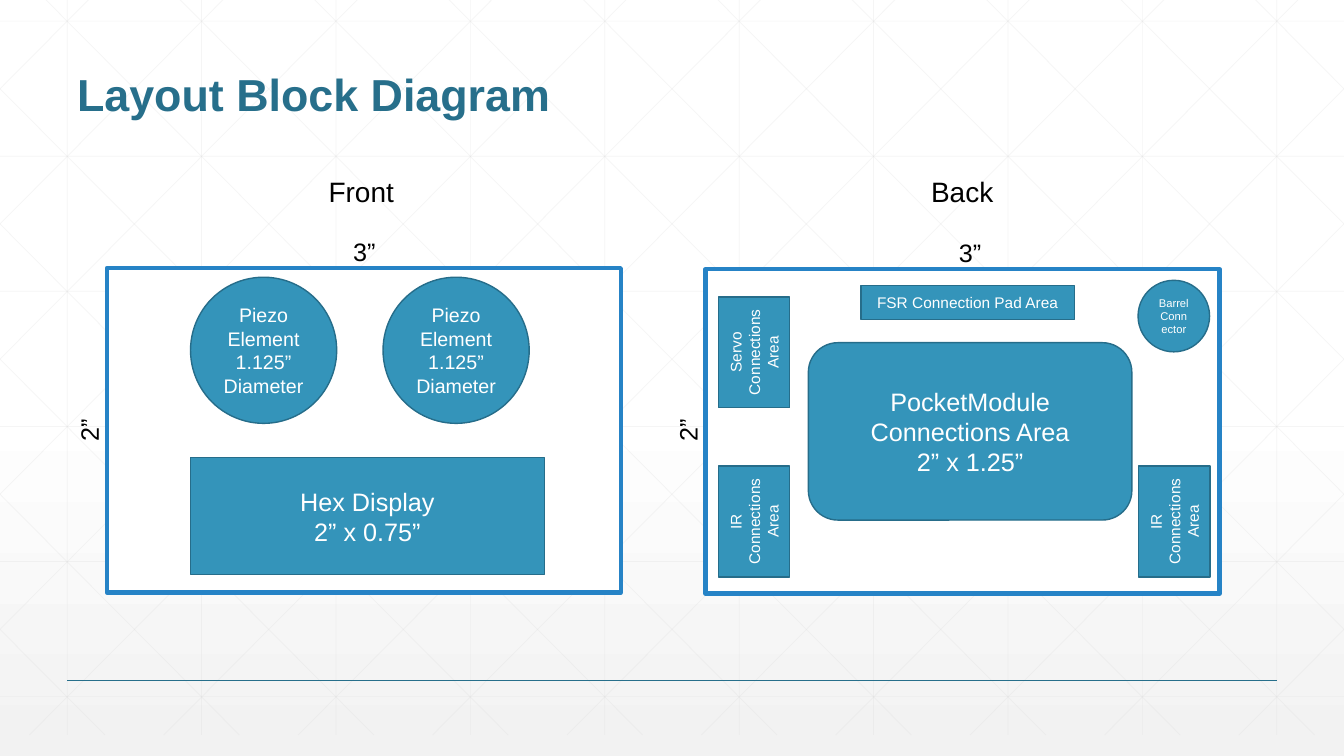
from lxml import etree
from pptx import Presentation
from pptx.dml.color import RGBColor
from pptx.enum.shapes import MSO_CONNECTOR, MSO_SHAPE
from pptx.enum.text import MSO_ANCHOR, MSO_AUTO_SIZE, PP_ALIGN
from pptx.oxml.ns import qn
from pptx.util import Pt

RECTANGLE = MSO_SHAPE.RECTANGLE
ROUNDED = MSO_SHAPE.ROUNDED_RECTANGLE
OVAL = MSO_SHAPE.OVAL
STRAIGHT = MSO_CONNECTOR.STRAIGHT
LEFT, CENTER = PP_ALIGN.LEFT, PP_ALIGN.CENTER
TOP, MIDDLE, BOTTOM = MSO_ANCHOR.TOP, MSO_ANCHOR.MIDDLE, MSO_ANCHOR.BOTTOM
GROW, FIXED = MSO_AUTO_SIZE.SHAPE_TO_FIT_TEXT, MSO_AUTO_SIZE.NONE

WHITE = RGBColor(0xFF, 0xFF, 0xFF)
BLACK = RGBColor(0, 0, 0)
PALE_GRAY = RGBColor(0xF2, 0xF2, 0xF2)
GRID_GRAY = RGBColor(0xD9, 0xD9, 0xD9)
TITLE_TEAL = RGBColor(0x27, 0x6F, 0x8B)
BLOCK_BLUE = RGBColor(0x34, 0x94, 0xBA)
BLOCK_EDGE = RGBColor(0x26, 0x6D, 0x8A)
BOARD_EDGE = RGBColor(0x26, 0x83, 0xC6)

FONT = "Arial"
WIDTH, HEIGHT = 960, 540
GRID_TOP, GRID_BOTTOM = -15, 525
GRID_STEP = 96
DIAGONAL_RUN = 537

# Boards: left, top
BOARDS = [(76.3, 191.5), (504, 192.2)]
BOARD_SIZE = (367.2, 231.8)

# Blocks: preset, text, size, (left, top, width, height), rotation
BLOCKS = [
    (RECTANGLE, "Hex Display\n2” x 0.75”", 18, (136.1, 326.9, 252.7, 83.5), 0),
    (ROUNDED, "PocketModule Connections Area\n2” x 1.25”", 18,
     (577.4, 244.8, 231.1, 126.7), 0),
    (RECTANGLE, "FSR Connection Pad Area", 11, (614.9, 203.8, 152.6, 24.5), 0),
    (OVAL, "Barrel Connector", 8, (812.9, 200.2, 51.1, 51.1), 0),
]
PIEZO_LEFTS = (136.1, 273.6)
PIEZO_TOP, PIEZO_SIZE = 198, 104.4

# Upright connection areas: text, left, top
CONNECTION_AREAS = [
    ("Servo Connections Area", 499, 226.1),
    ("IR Connections Area", 499, 347),
    ("IR Connections Area", 799.2, 347),
]
AREA_SIZE = (79.2, 51.1)

# Labels: text, size, (left, top, width, height), rotation
LABELS = [
    ("Front", 20, (192.2, 121, 131.8, 31.7), 0),
    ("Back", 20, (621.4, 121, 131.8, 31.7), 0),
    ("3”", 18, (222.5, 164.9, 75.6, 22.3), 0),
    ("3”", 18, (655.2, 165.6, 75.6, 22.3), 0),
    ("2”", 18, (24.5, 295.9, 71.3, 22.3), 270),
    ("2”", 18, (452.2, 295.9, 71.3, 22.3), 270),
]


def apply_format(target, values):
    """Set each attribute named in values on target."""
    for name, value in values.items():
        setattr(target, name, value)


def write_text(shape, text, font, align=CENTER, anchor=MIDDLE,
               auto_size=FIXED, spacing=1.0):
    """Write one paragraph per text line with the given font values."""
    frame = shape.text_frame
    apply_format(frame, {"word_wrap": True, "vertical_anchor": anchor,
                         "auto_size": auto_size})
    for index, line in enumerate(text.split("\n")):
        paragraph = frame.paragraphs[0] if index == 0 else frame.add_paragraph()
        apply_format(paragraph, {"alignment": align, "line_spacing": spacing})
        run = paragraph.add_run()
        run.text = line
        values = dict(font)
        run.font.color.rgb = values.pop("color")
        apply_format(run.font, {"name": FONT, **values})


def add_box(slide, preset, place, fill, edge, edge_width, rotation=0):
    """Add a filled, outlined preset shape without a shadow."""
    shape = slide.shapes.add_shape(preset, *map(Pt, place))
    shape.shadow.inherit = False
    shape.rotation = rotation
    shape.fill.solid()
    shape.fill.fore_color.rgb = fill
    shape.line.color.rgb = edge
    shape.line.width = Pt(edge_width)
    return shape


def add_block(slide, preset, text, size, place, rotation=0):
    """Add a blue component block with white centred text."""
    shape = add_box(slide, preset, place, BLOCK_BLUE, BLOCK_EDGE, 1, rotation)
    write_text(shape, text, {"size": Pt(size), "color": WHITE})


def add_label(slide, text, size, place, rotation=0):
    """Add a black heading or dimension label."""
    box = slide.shapes.add_textbox(*map(Pt, place))
    box.rotation = rotation
    write_text(box, text, {"size": Pt(size), "color": BLACK},
               anchor=TOP, auto_size=GROW)


def add_line(slide, start, end, color, width, opacity=100):
    """Add a straight line, optionally translucent, without a shadow."""
    line = slide.shapes.add_connector(STRAIGHT, *map(Pt, (*start, *end)))
    line.line.color.rgb = color
    line.line.width = Pt(width)
    properties = line._element.spPr
    if opacity < 100:
        color_element = properties.find(".//" + qn("a:srgbClr"))
        etree.SubElement(color_element, qn("a:alpha"), val=str(opacity * 1000))
    etree.SubElement(properties, qn("a:effectLst"))


def grid_lines():
    """Yield the ends of the background grid lines, clipped to the slide."""
    for column in range(10):
        x = 48 + GRID_STEP * column
        yield (x, GRID_TOP), (x, GRID_BOTTOM)
    for row in range(6):
        y = 15.1 + 96.5 * row
        yield (0, y), (WIDTH, y)
    slope = (GRID_BOTTOM - GRID_TOP) / DIAGONAL_RUN
    for step in range(-5, 10):
        x = 18 + GRID_STEP * step
        left, right = max(x, 0), min(x + DIAGONAL_RUN, WIDTH)
        top = GRID_TOP + (left - x) * slope
        bottom = GRID_TOP + (right - x) * slope
        yield (left, top), (right, bottom)
        yield (WIDTH - left, top), (WIDTH - right, bottom)


def add_background(slide):
    """Fill the background with a gradient and draw the grid."""
    fill = slide.background.fill
    fill.gradient()
    fill.gradient_angle = 270
    stops = zip(fill.gradient_stops, ((0.53, WHITE), (1.0, PALE_GRAY)))
    for stop, (position, color) in stops:
        stop.position = position
        stop.color.rgb = color
    for start, end in grid_lines():
        add_line(slide, start, end, GRID_GRAY, 0.5, 25)
    add_line(slide, (48, 486), (912, 486), TITLE_TEAL, 1)


def add_title(slide, text):
    """Add the slide title."""
    box = slide.shapes.add_textbox(Pt(48), Pt(18), Pt(864), Pt(72))
    write_text(box, text, {"size": Pt(32), "bold": True, "color": TITLE_TEAL},
               align=LEFT, anchor=BOTTOM, spacing=0.9)


def main():
    """Build and save the slide."""
    presentation = Presentation()
    apply_format(presentation, {"slide_width": Pt(WIDTH),
                                "slide_height": Pt(HEIGHT)})
    slide = presentation.slides.add_slide(presentation.slide_layouts[6])
    add_background(slide)
    add_title(slide, "Layout Block Diagram")
    for corner in BOARDS:
        add_box(slide, RECTANGLE, (*corner, *BOARD_SIZE), WHITE, BOARD_EDGE, 3)
    for block in BLOCKS:
        add_block(slide, *block)
    for left in PIEZO_LEFTS:
        add_block(slide, OVAL, "Piezo Element\n1.125” Diameter", 14,
                  (left, PIEZO_TOP, PIEZO_SIZE, PIEZO_SIZE))
    for text, left, top in CONNECTION_AREAS:
        add_block(slide, RECTANGLE, text, 11, (left, top, *AREA_SIZE), 270)
    for label in LABELS:
        add_label(slide, *label)
    presentation.save("out.pptx")


main()
